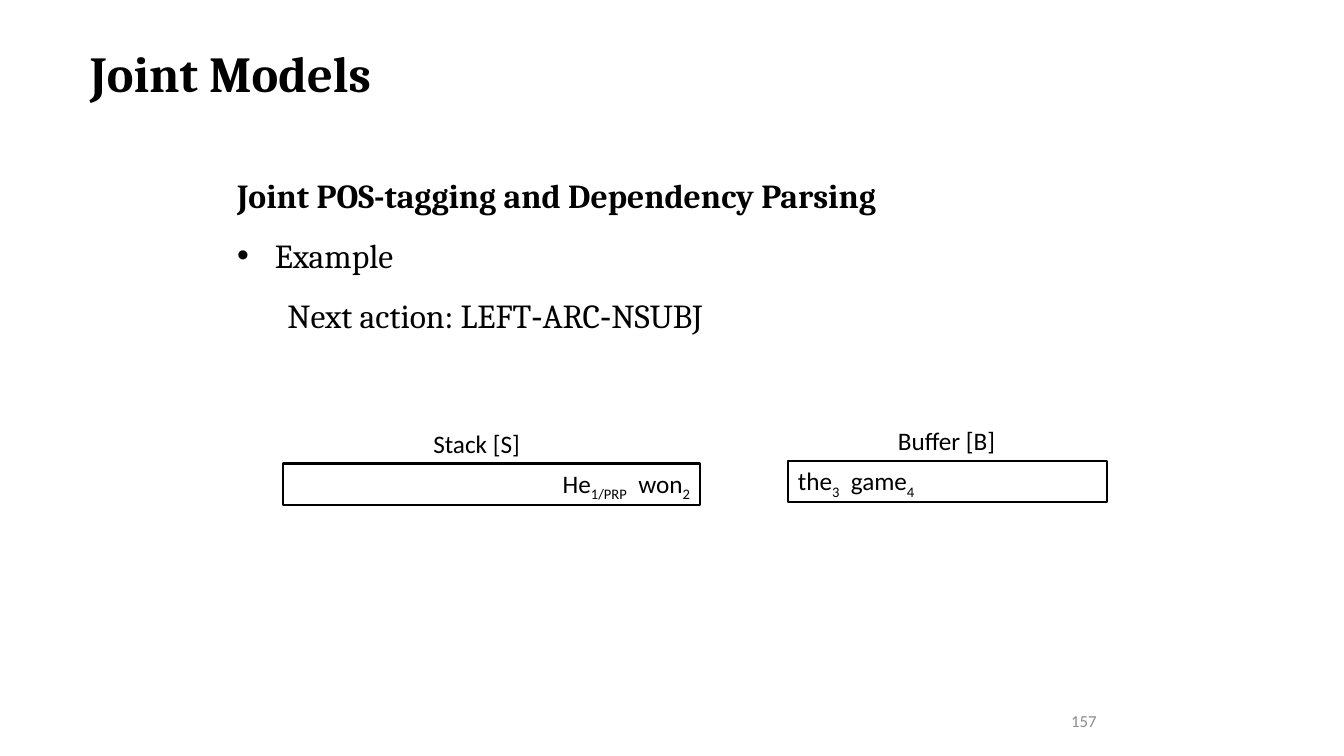
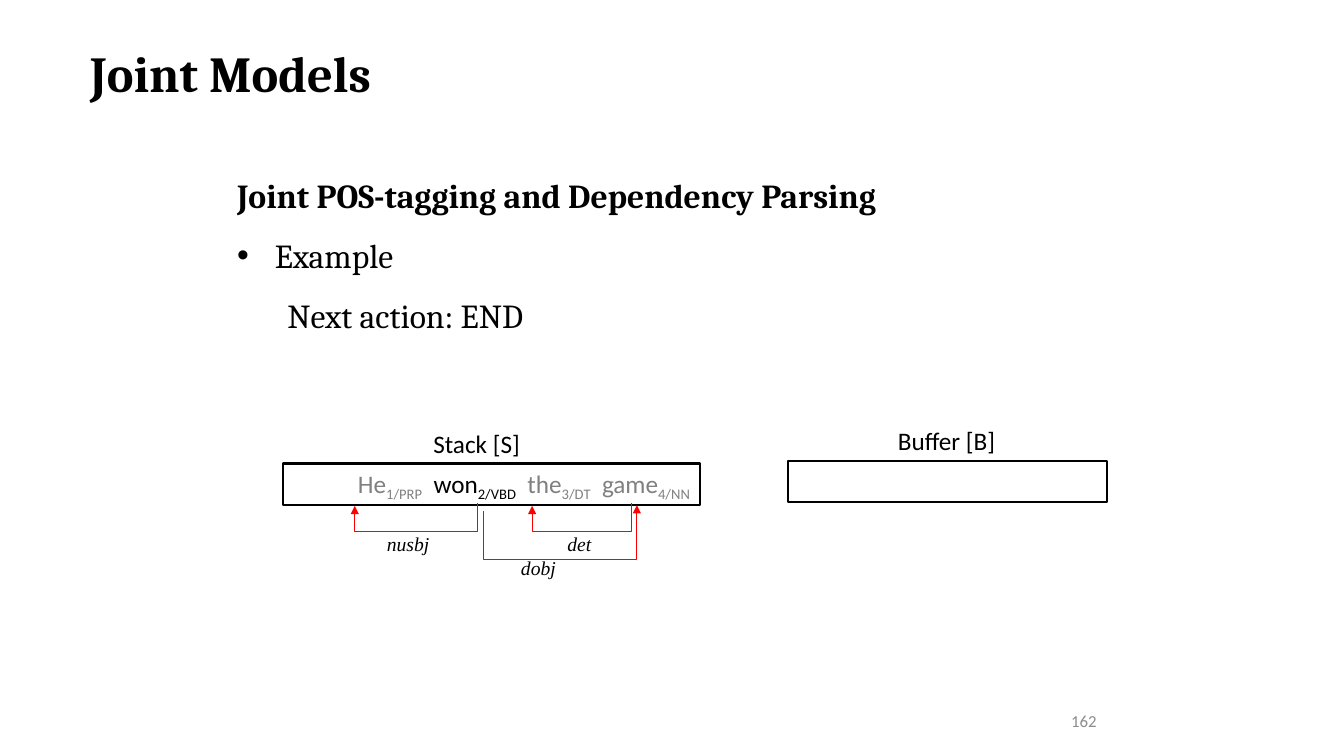
from dataclasses import dataclass

from lxml.etree import SubElement
from pptx import Presentation
from pptx.dml.color import RGBColor
from pptx.enum.shapes import MSO_CONNECTOR, MSO_SHAPE
from pptx.enum.text import MSO_ANCHOR, MSO_AUTO_SIZE, PP_ALIGN
from pptx.oxml.ns import qn
from pptx.util import Cm, Pt

# Shared style
BLACK, GREY, PAGE_GREY, RED = "000000", "808080", "8C8C8C", "FF0000"
SERIF, SANS, HYPHEN_FONT, ARC_FONT = "Cambria", "Calibri", "Arial", "Times New Roman"
TITLE = "Joint Models"
HEADING = "Joint POS-tagging and Dependency Parsing"
BODY_SIZE, TOKEN_SIZE = 24, 18


@dataclass(frozen=True)
class Box:
    """A rectangle in centimetres."""
    left: float
    top: float
    width: float
    height: float

    def lengths(self):
        return Cm(self.left), Cm(self.top), Cm(self.width), Cm(self.height)


@dataclass(frozen=True)
class Token:
    word: str
    index: str
    color: str = BLACK


@dataclass(frozen=True)
class Arc:
    """A bent arrow below the stack, with its label; lengths in centimetres."""
    label: str
    label_box: Box
    start: tuple[float, float]
    end: tuple[float, float]
    depth: float
    head_at: str  # "headEnd" is the start, "tailEnd" the end


@dataclass(frozen=True)
class ParserState:
    page: str
    action: tuple[str, ...]  # parts joined by hyphens
    stack: tuple[Token, ...]
    buffer: tuple[Token, ...] = ()
    arcs: tuple[Arc, ...] = ()


TITLE_BOX = Box(2.01, 0.94, 19.9, 1.8)
BODY_BOX = Box(5.72, 3.76, 22.45, 4.72)
PAGE_BOX = Box(22.17, 17.65, 5.72, 1.02)
STACK_LABEL_BOX = Box(10.67, 10.67, 2.97, 1.02)
BUFFER_LABEL_BOX = Box(22.38, 10.59, 3.81, 1.02)
STACK_BOX = Box(7.14, 11.68, 10.5, 1.04)
BUFFER_BOX = Box(19.86, 11.61, 8.03, 1.04)

STATES = (
    ParserState(
        page="157",
        action=("LEFT", "ARC", "NSUBJ"),
        stack=(Token("He", "1/PRP"), Token("won", "2")),
        buffer=(Token("the", "3"), Token("game", "4")),
    ),
    ParserState(
        page="162",
        action=("END",),
        stack=(
            Token("He", "1/PRP", GREY),
            Token("won", "2/VBD"),
            Token("the", "3/DT", GREY),
            Token("game", "4/NN", GREY),
        ),
        arcs=(
            Arc("nusbj", Box(9.5, 13.28, 1.96, 0.86),
                (8.94, 12.75), (12.04, 12.67), 0.64, "headEnd"),
            Arc("dobj", Box(12.88, 13.89, 2.46, 0.86),
                (12.17, 12.88), (16.05, 12.73), 1.22, "tailEnd"),
            Arc("det", Box(14.05, 13.28, 1.6, 0.86),
                (13.41, 12.75), (15.9, 12.67), 0.64, "headEnd"),
        ),
    ),
)


def rgb(color: str) -> RGBColor:
    return RGBColor.from_string(color)


def add_run(paragraph, text: str, font: str, size: float, color: str = BLACK,
            bold: bool = False, italic: bool = False):
    run = paragraph.add_run()
    run.text = text
    run.font.name = font
    run.font.size = Pt(size)
    run.font.bold = bold
    run.font.italic = italic
    run.font.color.rgb = rgb(color)
    return run


def place(shape, box: Box) -> None:
    shape.left, shape.top, shape.width, shape.height = box.lengths()


def prepare_frame(shape, anchor=MSO_ANCHOR.TOP):
    frame = shape.text_frame
    frame.word_wrap = True
    frame.auto_size = MSO_AUTO_SIZE.NONE
    frame.vertical_anchor = anchor
    return frame


def add_label(slide, box: Box, text: str, font: str, size: float, color: str = BLACK,
              italic: bool = False, align=PP_ALIGN.LEFT, anchor=MSO_ANCHOR.TOP) -> None:
    frame = prepare_frame(slide.shapes.add_textbox(*box.lengths()), anchor)
    paragraph = frame.paragraphs[0]
    paragraph.alignment = align
    add_run(paragraph, text, font, size, color, italic=italic)


def format_body_paragraph(paragraph, margin: float = 0, indent: float = 0,
                          bullet: str = "") -> None:
    properties = paragraph._p.get_or_add_pPr()
    properties.set("marL", str(Cm(margin)))
    properties.set("indent", str(Cm(indent)))
    if bullet:
        SubElement(properties, qn("a:buChar")).set("char", bullet)
    else:
        SubElement(properties, qn("a:buNone"))
    paragraph.line_spacing = 1.5
    paragraph.space_before = Pt(0)


def fill_title(slide) -> None:
    title = slide.shapes.title
    place(title, TITLE_BOX)
    paragraph = prepare_frame(title).paragraphs[0]
    paragraph.alignment = PP_ALIGN.LEFT
    add_run(paragraph, TITLE, SERIF, 36, bold=True)


def fill_body(slide, action: tuple[str, ...]) -> None:
    body = slide.placeholders[1]
    place(body, BODY_BOX)
    frame = prepare_frame(body)

    heading = frame.paragraphs[0]
    format_body_paragraph(heading)
    add_run(heading, HEADING, SERIF, BODY_SIZE, bold=True)

    example = frame.add_paragraph()
    format_body_paragraph(example, 0.95, -0.95, "•")
    add_run(example, "Example", SERIF, BODY_SIZE)

    next_action = frame.add_paragraph()
    next_action.level = 1
    format_body_paragraph(next_action, 1.27)
    add_run(next_action, "Next action: " + action[0], SERIF, BODY_SIZE)
    for part in action[1:]:
        add_run(next_action, "-", HYPHEN_FONT, BODY_SIZE)
        add_run(next_action, part, SERIF, BODY_SIZE)


def add_token_box(slide, box: Box, tokens: tuple[Token, ...], align) -> None:
    shape = slide.shapes.add_shape(MSO_SHAPE.RECTANGLE, *box.lengths())
    shape.shadow.inherit = False
    shape.fill.background()
    shape.line.color.rgb = rgb(BLACK)
    shape.line.width = Pt(1.5)
    paragraph = prepare_frame(shape).paragraphs[0]
    paragraph.alignment = align
    for position, token in enumerate(tokens):
        if position:
            # One space, widened by letter spacing
            gap = add_run(paragraph, " ", SANS, TOKEN_SIZE)
            gap.font._element.set("spc", "400")
        add_run(paragraph, token.word, SANS, TOKEN_SIZE, token.color)
        index = add_run(paragraph, token.index, SANS, TOKEN_SIZE, token.color)
        index.font._element.set("baseline", "-25000")


def add_arc(slide, arc: Arc) -> None:
    # The elbow is laid out upright, then turned a quarter so it hangs down
    (start_x, start_y), (end_x, end_y) = arc.start, arc.end
    rise, span = start_y - end_y, end_x - start_x
    center_x, center_y = (start_x + end_x) / 2, (start_y + end_y) / 2
    connector = slide.shapes.add_connector(
        MSO_CONNECTOR.ELBOW,
        Cm(center_x + rise / 2), Cm(center_y + span / 2),
        Cm(center_x - rise / 2), Cm(center_y - span / 2),
    )
    connector.line.color.rgb = rgb(RED)
    connector.line.width = Pt(0.5)
    properties = connector._element.spPr
    properties.find(qn("a:xfrm")).set("rot", str(90 * 60000))
    adjustments = properties.find(qn("a:prstGeom")).find(qn("a:avLst"))
    guide = SubElement(adjustments, qn("a:gd"))
    guide.set("name", "adj1")
    guide.set("fmla", f"val {round(-arc.depth / rise * 100000)}")
    SubElement(properties.find(qn("a:ln")), qn(f"a:{arc.head_at}")).set("type", "triangle")
    SubElement(properties, qn("a:effectLst"))
    add_label(slide, arc.label_box, arc.label, ARC_FONT, 14, italic=True)


def add_state_slide(presentation, state: ParserState) -> None:
    slide = presentation.slides.add_slide(presentation.slide_layouts[1])
    fill_title(slide)
    fill_body(slide, state.action)
    add_label(slide, PAGE_BOX, state.page, SANS, 12, PAGE_GREY,
              align=PP_ALIGN.RIGHT, anchor=MSO_ANCHOR.MIDDLE)

    # Stack and buffer
    add_label(slide, STACK_LABEL_BOX, "Stack [S]", SANS, TOKEN_SIZE)
    add_label(slide, BUFFER_LABEL_BOX, "Buffer [B]", SANS, TOKEN_SIZE)
    add_token_box(slide, STACK_BOX, state.stack, PP_ALIGN.RIGHT)
    add_token_box(slide, BUFFER_BOX, state.buffer, PP_ALIGN.LEFT)

    # Dependency arcs
    for arc in state.arcs:
        add_arc(slide, arc)


def main() -> None:
    presentation = Presentation()
    presentation.slide_width, presentation.slide_height = Cm(33.87), Cm(19.05)
    for state in STATES:
        add_state_slide(presentation, state)
    presentation.save("out.pptx")


if __name__ == "__main__":
    main()
